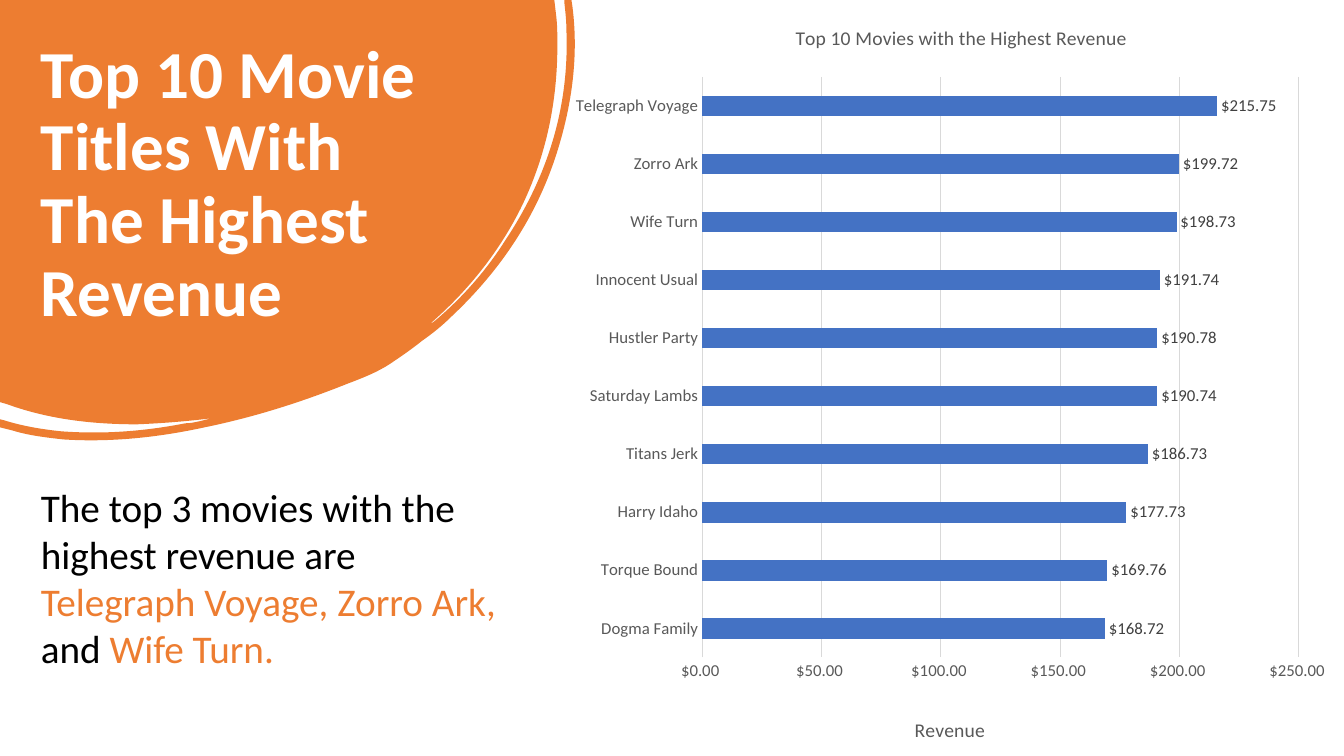
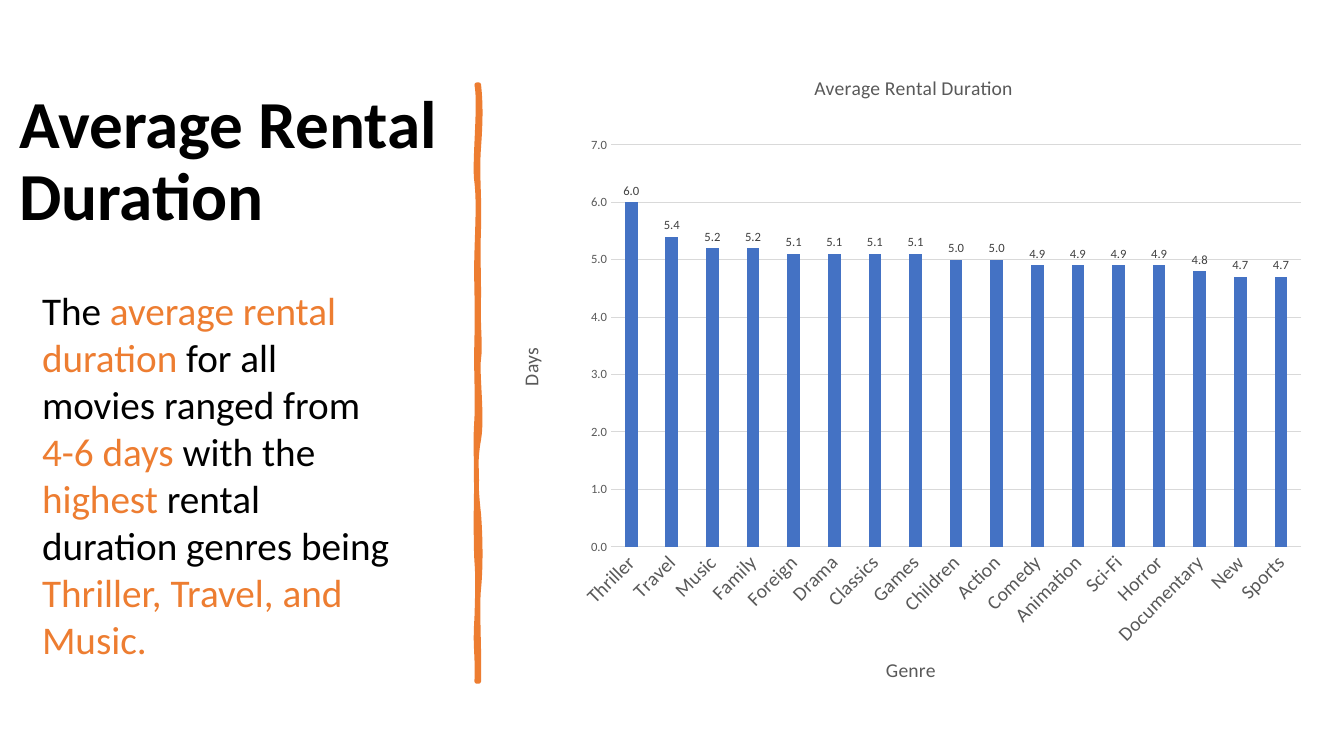
from lxml.etree import SubElement
from pptx import Presentation
from pptx.chart.data import CategoryChartData
from pptx.dml.color import RGBColor
from pptx.enum.chart import XL_CHART_TYPE, XL_LABEL_POSITION, XL_TICK_MARK
from pptx.enum.text import MSO_ANCHOR
from pptx.oxml.ns import qn
from pptx.util import Cm, Pt

FONT = "Calibri"
COLORS = {
    "black": "000000", "white": "FFFFFF", "accent": "ED7D31", "bar": "4472C4",
    "chart text": "595959", "label": "404040", "grid": "D9D9D9",
}
CM_PER_UNIT = 2.54  # outlines below are drawn in inches

# Outlines: a start point, then lines (2 numbers) and cubic curves (6 numbers).
BLOB = [
    (0, 0), (5.5, 0), (5.52, 0.17),
    (5.53, 0.26, 5.53, 0.36, 5.53, 0.45), (5.53, 1.01, 5.42, 1.54, 5.18, 2.04),
    (4.96, 2.49, 4.65, 2.88, 4.27, 3.21), (4.29, 3.21, 4.3, 3.19, 4.32, 3.18),
    (4.59, 2.95, 4.82, 2.69, 5.01, 2.39), (5.43, 1.76, 5.65, 1.07, 5.62, 0.3),
    (5.62, 0.21, 5.61, 0.12, 5.6, 0.03), (5.6, 0), (5.67, 0), (5.68, 0.07),
    (5.74, 0.54, 5.68, 1.02, 5.53, 1.5), (5.33, 2.14, 4.97, 2.68, 4.48, 3.14),
    (4.39, 3.23, 4.29, 3.31, 4.19, 3.38), (4.09, 3.46, 3.99, 3.53, 3.87, 3.61),
    (3.75, 3.69, 3.6, 3.75, 3.44, 3.81), (2.99, 3.99, 2.52, 4.14, 2.03, 4.24),
    (1.57, 4.34, 1.1, 4.39, 0.63, 4.36), (0.45, 4.34, 0.28, 4.32, 0.12, 4.27),
    (0, 4.24), (0, 4.16), (0.04, 4.17),
    (0.23, 4.23, 0.42, 4.26, 0.61, 4.28), (1.03, 4.31, 1.43, 4.28, 1.84, 4.2),
    (1.89, 4.2, 1.93, 4.19, 1.98, 4.18), (2.02, 4.17, 2.06, 4.16, 2.1, 4.15),
    (1.86, 4.18, 1.61, 4.2, 1.36, 4.21), (0.92, 4.21, 0.48, 4.16, 0.07, 4.01),
    (0, 3.99),
]
DIVIDER = [
    (4.75, 0.84),
    (4.77, 1.02, 4.77, 1.19, 4.75, 1.46), (4.73, 1.73, 4.76, 1.95, 4.75, 2.26),
    (4.74, 2.57, 4.75, 2.62, 4.75, 2.94), (4.74, 3.25, 4.77, 3.42, 4.75, 3.56),
    (4.73, 3.7, 4.79, 4.14, 4.75, 4.36), (4.71, 4.57, 4.72, 4.84, 4.75, 5.1),
    (4.77, 5.36, 4.77, 5.64, 4.75, 5.84), (4.73, 6.03, 4.76, 6.5, 4.75, 6.76),
    (4.74, 6.76, 4.73, 6.76, 4.73, 6.76),
    (4.74, 6.46, 4.71, 6.44, 4.73, 6.13), (4.74, 5.83, 4.74, 5.7, 4.73, 5.57),
    (4.72, 5.44, 4.72, 4.95, 4.73, 4.77), (4.73, 4.59, 4.71, 4.45, 4.73, 4.15),
    (4.74, 3.86, 4.72, 3.73, 4.73, 3.35), (4.74, 2.98, 4.72, 2.81, 4.73, 2.5),
    (4.74, 2.18, 4.75, 2, 4.73, 1.81), (4.7, 1.63, 4.77, 1.04, 4.73, 0.84),
]

# Boxes are left, top, width, height in cm; chart places are shares of the chart.
SLIDES = [
    {
        "outline": BLOB, "outline width": 0,
        "title": "Top 10 Movie Titles With The Highest Revenue",
        "title box": (0.78, 0.89, 10.13, 7.32),
        "title color": "white", "title anchor": MSO_ANCHOR.TOP,
        "body box": (0.78, 12.05, 12.4, 5.05),
        "body": [
            ("The top 3 movies with the highest revenue are ", "black"),
            ("Telegraph Voyage, Zorro Ark, ", "accent"),
            ("and ", "black"), ("Wife Turn.", "accent"),
        ],
        "chart": {
            "type": XL_CHART_TYPE.BAR_CLUSTERED,
            "box": (14.5, 0.2, 19.36, 18.67),
            "plot": (0.165, 0.094, 0.777, 0.791),
            "title": ("Top 10 Movies with the Highest Revenue", (0.282, 0.018)),
            "value title": ("Revenue", (0.437, 0.961), 0),
            "format": '"$"#,##0.00_);[Red]\\("$"#,##0.00\\)',
            "top": 250, "step": 50, "gap": 182, "overlap": 0,
            "category size": 12, "value size": 12, "label turn": 0,
            "data": [
                ("Dogma Family", 168.72), ("Torque Bound", 169.76),
                ("Harry Idaho", 177.73), ("Titans Jerk", 186.73),
                ("Saturday Lambs", 190.74), ("Hustler Party", 190.78),
                ("Innocent Usual", 191.74), ("Wife Turn", 198.73),
                ("Zorro Ark", 199.72), ("Telegraph Voyage", 215.75),
            ],
        },
    },
    {
        "outline": DIVIDER, "outline width": 3.25,
        "title": "Average Rental Duration",
        "title box": (0.23, 1.78, 11.35, 4.65),
        "title color": "black", "title anchor": MSO_ANCHOR.MIDDLE,
        "body box": (0.81, 7.09, 9.47, 9.83),
        "body": [
            ("The ", "black"), ("average rental duration ", "accent"),
            ("for all movies ranged from ", "black"), ("4-6 days ", "accent"),
            ("with the ", "black"), ("highest ", "accent"),
            ("rental duration genres being ", "black"),
            ("Thriller, Travel, and Music.", "accent"),
        ],
        "chart": {
            "type": XL_CHART_TYPE.COLUMN_CLUSTERED,
            "box": (12.9, 1.78, 20.3, 16.13),
            "plot": (0.123, 0.116, 0.857, 0.628),
            "title": ("Average Rental Duration", (0.371, 0)),
            "category title": ("Genre", (0.46, 0.91), 0),
            "value title": ("Days", (0.002, 0.427), -90),
            "format": "0.0",
            "top": 7, "step": 1, "gap": 219, "overlap": -27,
            "category size": 14, "value size": 9, "label turn": -45,
            "data": [
                ("Thriller", 6), ("Travel", 5.4), ("Music", 5.2), ("Family", 5.2),
                ("Foreign", 5.1), ("Drama", 5.1), ("Classics", 5.1), ("Games", 5.1),
                ("Children", 5), ("Action", 5), ("Comedy", 4.9), ("Animation", 4.9),
                ("Sci-Fi", 4.9), ("Horror", 4.9), ("Documentary", 4.8),
                ("New", 4.7), ("Sports", 4.7),
            ],
        },
    },
]


def color(name):
    return RGBColor.from_string(COLORS[name])


def style_font(font, size, color_name, bold=False):
    font.name = FONT
    font.size = Pt(size)
    font.bold = bold
    font.color.rgb = color(color_name)


def bend(shape, segments):
    """Replace the straight segments that have control points by curves."""
    path = shape.element.xpath(".//a:path")[0]
    for line, segment in zip(path.findall(qn("a:lnTo")), segments):
        if len(segment) == 2:
            continue
        curve = SubElement(path, qn("a:cubicBezTo"))
        for x, y in zip(segment[::2], segment[1::2]):
            point = SubElement(curve, qn("a:pt"))
            point.set("x", str(Cm(x * CM_PER_UNIT) - shape.left))
            point.set("y", str(Cm(y * CM_PER_UNIT) - shape.top))
        path.replace(line, curve)


def add_outline(page, outline, line_width):
    ends = [tuple(Cm(value * CM_PER_UNIT) for value in segment[-2:]) for segment in outline]
    builder = page.shapes.build_freeform(*ends[0], scale=1.0)
    builder.add_line_segments(ends[1:], close=True)
    shape = builder.convert_to_shape()
    bend(shape, outline[1:])
    shape.shadow.inherit = False
    shape.fill.solid()
    shape.fill.fore_color.rgb = color("accent")
    if line_width:
        shape.line.width = Pt(line_width)
        shape.line.color.rgb = color("accent")
    else:
        shape.line.fill.background()


def add_text(page, box, spans, size, bold=False, anchor=MSO_ANCHOR.TOP, spacing=1.0):
    frame = page.shapes.add_textbox(*map(Cm, box)).text_frame
    frame.word_wrap = True
    frame.vertical_anchor = anchor
    para = frame.paragraphs[0]
    para.line_spacing = spacing
    for text, color_name in spans:
        span = para.add_run()
        span.text = text
        style_font(span.font, size, color_name, bold)


def place(element, shares):
    """Fix a chart part at x, y and, for the plot, width and height."""
    for old in element.findall(qn("c:layout")):
        element.remove(old)
    layout = SubElement(element, qn("c:layout"))
    manual = SubElement(layout, qn("c:manualLayout"))
    settings = [("xMode", "edge"), ("yMode", "edge"), *zip("xywh", shares)]
    if len(shares) == 4:
        settings.insert(0, ("layoutTarget", "inner"))
    for tag, value in settings:
        SubElement(manual, qn(f"c:{tag}")).set("val", str(value))
    text = element.find(qn("c:tx"))
    if text is None:
        element.insert(0, layout)
    else:
        text.addnext(layout)


def turn(body, degrees):
    body.set("rot", str(degrees * 60000))
    body.set("vert", "horz")


def set_title(title, text, shares, degrees=0):
    title.text_frame.text = text
    style_font(title.text_frame.paragraphs[0].runs[0].font, 14, "chart text")
    turn(title.element.xpath(".//a:bodyPr")[0], degrees)
    place(title.element, shares)


def style_axis(axis, size, title):
    axis.major_tick_mark = axis.minor_tick_mark = XL_TICK_MARK.NONE
    style_font(axis.tick_labels.font, size, "chart text")
    axis.has_title = title is not None
    if title:
        set_title(axis.axis_title, *title)


def add_bars(page, info):
    data = CategoryChartData(number_format=info["format"])
    data.categories = [name for name, _ in info["data"]]
    data.add_series("Series 1", [value for _, value in info["data"]])
    chart = page.shapes.add_chart(info["type"], *map(Cm, info["box"]), data).chart
    style_font(chart.font, 10, "black")
    chart.has_legend = False
    chart.has_title = True
    set_title(chart.chart_title, *info["title"])
    place(chart.element.xpath(".//c:plotArea")[0], info["plot"])

    categories, values = chart.category_axis, chart.value_axis
    style_axis(categories, info["category size"], info.get("category title"))
    style_axis(values, info["value size"], info["value title"])
    turn(chart.element.xpath(".//c:catAx/c:txPr/a:bodyPr")[0], info["label turn"])
    values.minimum_scale, values.maximum_scale = 0, info["top"]
    values.major_unit = info["step"]
    values.tick_labels.number_format = info["format"]
    values.tick_labels.number_format_is_linked = False
    values.format.line.fill.background()
    values.has_major_gridlines = True
    for line in (categories.format.line, values.major_gridlines.format.line):
        line.color.rgb = color("grid")
        line.width = Pt(0.75)

    plot = chart.plots[0]
    plot.vary_by_categories = False
    plot.gap_width, plot.overlap = info["gap"], info["overlap"]
    fill = plot.series[0].format.fill
    fill.solid()
    fill.fore_color.rgb = color("bar")
    plot.has_data_labels = True
    labels = plot.data_labels
    labels.show_value = True
    labels.position = XL_LABEL_POSITION.OUTSIDE_END
    labels.number_format = info["format"]
    labels.number_format_is_linked = False
    style_font(labels.font, info["value size"], "label")


def main():
    deck = Presentation()
    deck.slide_width, deck.slide_height = Cm(33.87), Cm(19.05)
    for info in SLIDES:
        page = deck.slides.add_slide(deck.slide_layouts[6])
        add_outline(page, info["outline"], info["outline width"])
        add_text(page, info["title box"], [(info["title"], info["title color"])], 48,
                 bold=True, anchor=info["title anchor"], spacing=0.9)
        add_bars(page, info["chart"])
        add_text(page, info["body box"], info["body"], 28)
    deck.save("out.pptx")


if __name__ == "__main__":
    main()
